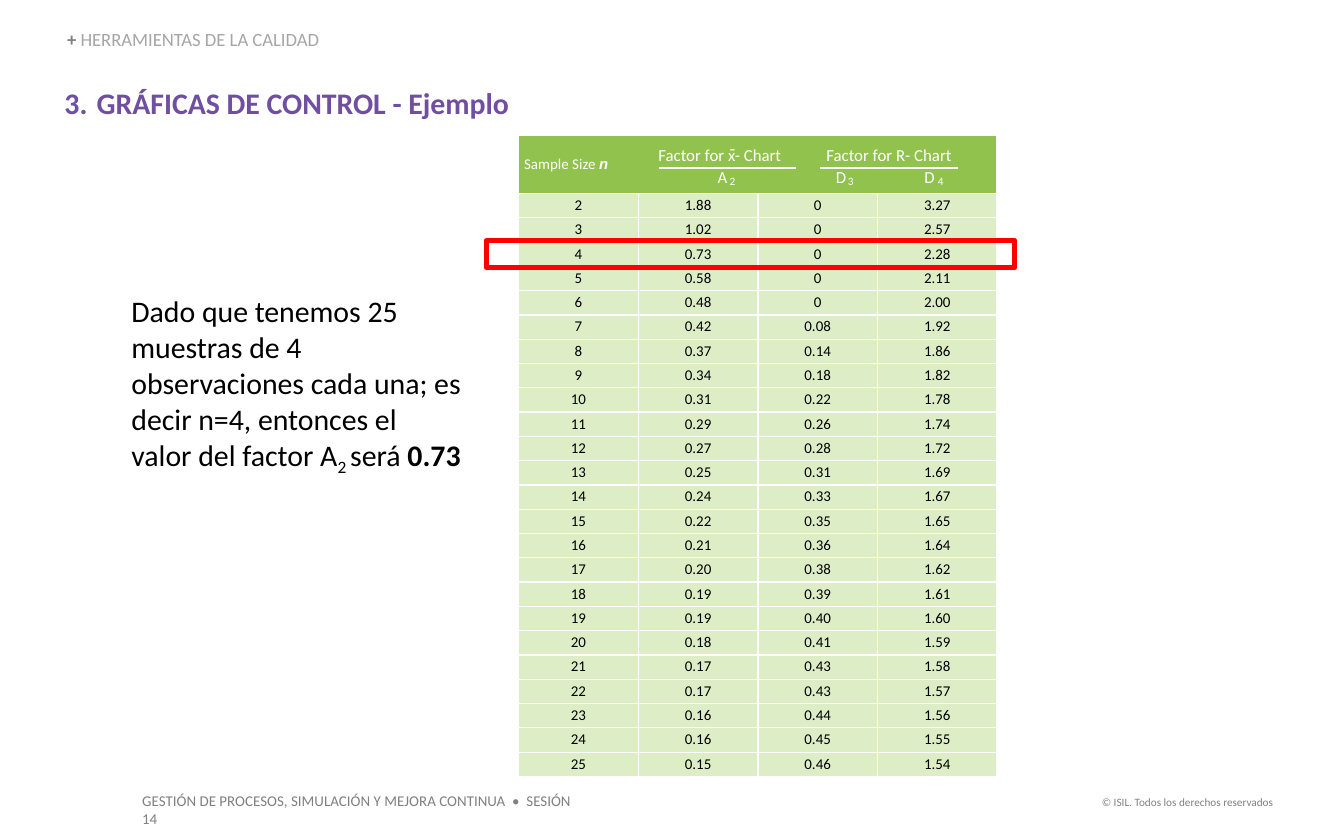
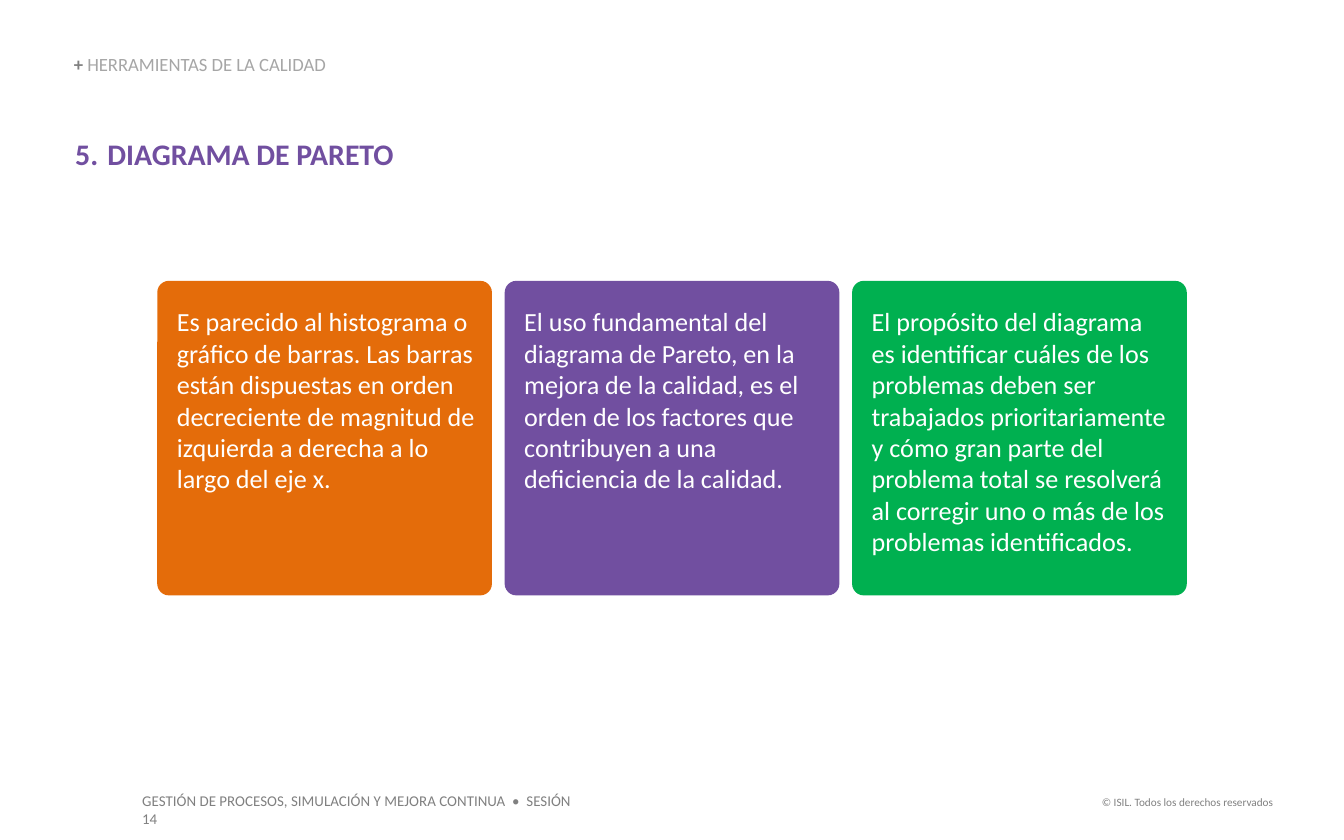
from lxml.etree import SubElement
from pptx import Presentation
from pptx.dml.color import RGBColor
from pptx.enum.shapes import MSO_CONNECTOR, MSO_SHAPE
from pptx.enum.text import MSO_ANCHOR, PP_ALIGN
from pptx.oxml.ns import qn
from pptx.util import Inches, Pt

WHITE = RGBColor(0xFF, 0xFF, 0xFF)
BLACK = RGBColor(0x00, 0x00, 0x00)
GRAY = RGBColor(0x80, 0x80, 0x80)
LIGHT_GRAY = RGBColor(0xA6, 0xA6, 0xA6)
PURPLE = RGBColor(0x71, 0x4F, 0xA0)
ORANGE = RGBColor(0xE4, 0x6C, 0x0A)
GREEN = RGBColor(0x00, 0xB0, 0x50)
HEADER_GREEN = RGBColor(0x92, 0xC2, 0x4E)
ROW_GREEN = RGBColor(0xDD, 0xEE, 0xC7)
RED = RGBColor(0xFF, 0x00, 0x00)

BODY_FONT = "Calibri"
SYMBOL_FONT = "Arial"
DEFAULT_INSETS = (0.1, 0.05, 0.1, 0.05)

SECTION = "HERRAMIENTAS DE LA CALIDAD"
COURSE = "GESTIÓN DE PROCESOS, SIMULACIÓN Y MEJORA CONTINUA  •  SESIÓN 14"
COPYRIGHT = "© ISIL. Todos los derechos reservados"

# Sample size n, A2, D3, D4
FACTORS = [
    ("2", "1.88", "0", "3.27"),
    ("3", "1.02", "0", "2.57"),
    ("4", "0.73", "0", "2.28"),
    ("5", "0.58", "0", "2.11"),
    ("6", "0.48", "0", "2.00"),
    ("7", "0.42", "0.08", "1.92"),
    ("8", "0.37", "0.14", "1.86"),
    ("9", "0.34", "0.18", "1.82"),
    ("10", "0.31", "0.22", "1.78"),
    ("11", "0.29", "0.26", "1.74"),
    ("12", "0.27", "0.28", "1.72"),
    ("13", "0.25", "0.31", "1.69"),
    ("14", "0.24", "0.33", "1.67"),
    ("15", "0.22", "0.35", "1.65"),
    ("16", "0.21", "0.36", "1.64"),
    ("17", "0.20", "0.38", "1.62"),
    ("18", "0.19", "0.39", "1.61"),
    ("19", "0.19", "0.40", "1.60"),
    ("20", "0.18", "0.41", "1.59"),
    ("21", "0.17", "0.43", "1.58"),
    ("22", "0.17", "0.43", "1.57"),
    ("23", "0.16", "0.44", "1.56"),
    ("24", "0.16", "0.45", "1.55"),
    ("25", "0.15", "0.46", "1.54"),
]
TABLE_BOX = (3.86, 1.01, 3.56, 4.77)
HEADER_HEIGHT = 0.43
CELL_INSETS = (0.04, 0.02, 0.04, 0.02)

# Text, size, left, top, width, height
HEADER_LABELS = [
    ("Factor for x- Chart", 9, 4.8, 1.03, 1.12, 0.25),
    ("Factor for R- Chart", 9, 6.05, 1.03, 1.29, 0.25),
    ("A", 9, 5.24, 1.19, 0.25, 0.25),
    ("D", 9, 6.12, 1.19, 0.25, 0.25),
    ("D", 9, 6.78, 1.19, 0.25, 0.25),
    ("4", 6, 6.88, 1.25, 0.25, 0.2),
    ("3", 6, 6.21, 1.25, 0.25, 0.2),
    ("2", 6, 5.33, 1.25, 0.25, 0.2),
    ("-", 10, 5.33, 0.97, 0.25, 0.27),
]
HEADER_RULES = [(4.9, 5.92), (6.1, 7.13)]
HEADER_RULE_TOP = 1.25
CHOSEN_ROW_BOX = (3.62, 1.79, 3.93, 0.2)

EXPLANATION = ("Dado que tenemos 25 muestras de 4 observaciones cada una; "
               "es decir n=4, entonces el valor del factor A")
SUBSCRIPT, VERB, RESULT = "2 ", "será ", "0.73"

PARETO_CARDS = [
    (ORANGE, "Es parecido al histograma o gráfico de barras. Las barras están "
             "dispuestas en orden decreciente de magnitud de izquierda a derecha "
             "a lo largo del eje x."),
    (PURPLE, "El uso fundamental del diagrama de Pareto, en la mejora de la "
             "calidad, es el orden de los factores que contribuyen a una "
             "deficiencia de la calidad."),
    (GREEN, "El propósito del diagrama es identificar cuáles de los problemas "
            "deben ser trabajados prioritariamente y cómo gran parte del problema "
            "total se resolverá al corregir uno o más de los problemas "
            "identificados."),
]
CARDS_LEFT, CARDS_RIGHT, CARDS_TOP = 1.17, 8.83, 2.09
CARD_WIDTH, CARD_HEIGHT = 2.49, 2.34


def inches(lengths):
    return [Inches(length) for length in lengths]


def add_run(paragraph, text, size, color, bold=False, italic=False, font=BODY_FONT):
    run = paragraph.add_run()
    run.text = text
    run.font.size = Pt(size)
    run.font.name = font
    run.font.bold = bold
    run.font.italic = italic
    run.font.color.rgb = color
    return run


def set_insets(holder, insets):
    """Set the margins of a text frame or a table cell."""
    (holder.margin_left, holder.margin_top,
     holder.margin_right, holder.margin_bottom) = inches(insets)


def add_paragraph_box(slide, box, insets=DEFAULT_INSETS, anchor=MSO_ANCHOR.TOP):
    """Add a wrapping text box and return its empty first paragraph."""
    frame = slide.shapes.add_textbox(*inches(box)).text_frame
    frame.word_wrap = True
    frame.vertical_anchor = anchor
    set_insets(frame, insets)
    return frame.paragraphs[0]


def number_paragraph(paragraph, start):
    properties = paragraph._p.get_or_add_pPr()
    properties.set("marL", str(Inches(0.24)))
    properties.set("indent", str(-Inches(0.24)))
    SubElement(properties, qn("a:buFont"), typeface="+mj-lt")
    SubElement(properties, qn("a:buAutoNum"), type="arabicPeriod", startAt=str(start))


def add_base_slide(deck, number, title, section_at, title_box):
    """Add a slide with its footers, section label and numbered title."""
    slide = deck.slides.add_slide(deck.slide_layouts[6])

    copyright_line = add_paragraph_box(slide, (8.07, 5.87, 1.5, 0.2))
    copyright_line.alignment = PP_ALIGN.RIGHT
    add_run(copyright_line, COPYRIGHT, 6, GRAY)
    add_run(add_paragraph_box(slide, (0.96, 5.84, 3.53, 0.24)), COURSE, 8, GRAY)

    section = add_paragraph_box(slide, (*section_at, 2.66, 0.15),
                                (0, 0, 0, 0), MSO_ANCHOR.BOTTOM)
    section.line_spacing = 0.9
    add_run(section, "+ ", 10, GRAY, bold=True)
    add_run(section, SECTION, 10, LIGHT_GRAY)

    heading = add_paragraph_box(slide, title_box, (0, 0, 0, 0.05))
    number_paragraph(heading, number)
    heading.space_after = Pt(6)
    add_run(heading, title, 16, PURPLE, bold=True)
    return slide


def style_cell(cell, color):
    set_insets(cell, CELL_INSETS)
    properties = cell._tc.get_or_add_tcPr()
    for side in ("a:lnL", "a:lnR", "a:lnT", "a:lnB"):
        border = SubElement(properties, qn(side), w=str(Pt(0.75)))
        SubElement(SubElement(border, qn("a:solidFill")), qn("a:srgbClr"), val=str(WHITE))
    cell.fill.solid()
    cell.fill.fore_color.rgb = color


def add_factor_table(slide):
    column_count = len(FACTORS[0])
    table = slide.shapes.add_table(len(FACTORS) + 1, column_count,
                                   *inches(TABLE_BOX)).table
    width, height = TABLE_BOX[2:]
    for column in table.columns:
        column.width = Inches(width / column_count)
    for row in table.rows:
        row.height = Inches((height - HEADER_HEIGHT) / len(FACTORS))
    table.rows[0].height = Inches(HEADER_HEIGHT)

    for column in range(column_count):
        style_cell(table.cell(0, column), HEADER_GREEN)
    header = table.cell(0, 0)
    header.merge(table.cell(0, column_count - 1))
    header.vertical_anchor = MSO_ANCHOR.MIDDLE
    caption = header.text_frame.paragraphs[0]
    add_run(caption, "Sample Size ", 8, WHITE)
    add_run(caption, "n", 8, WHITE, bold=True, italic=True, font=SYMBOL_FONT)

    for row, factors in enumerate(FACTORS, 1):
        for column, factor in enumerate(factors):
            cell = table.cell(row, column)
            style_cell(cell, ROW_GREEN)
            paragraph = cell.text_frame.paragraphs[0]
            paragraph.alignment = PP_ALIGN.CENTER
            add_run(paragraph, factor, 8, BLACK)


def add_header_rule(slide, left, right):
    rule = slide.shapes.add_connector(
        MSO_CONNECTOR.STRAIGHT,
        *inches((left, HEADER_RULE_TOP, right, HEADER_RULE_TOP)))
    rule.line.color.rgb = WHITE
    rule.line.width = Pt(0.75)
    SubElement(rule._element.spPr, qn("a:effectLst"))


def build_control_chart_slide(deck):
    slide = add_base_slide(deck, 3, "GRÁFICAS DE CONTROL - Ejemplo",
                           (0.5, 0.23), (0.48, 0.63, 8.84, 0.32))
    add_factor_table(slide)
    for label, size, *box in HEADER_LABELS:
        add_run(add_paragraph_box(slide, box), label, size, WHITE)
    for left, right in HEADER_RULES:
        add_header_rule(slide, left, right)

    chosen_row = slide.shapes.add_shape(MSO_SHAPE.RECTANGLE, *inches(CHOSEN_ROW_BOX))
    chosen_row.shadow.inherit = False
    chosen_row.fill.background()
    chosen_row.line.color.rgb = RED
    chosen_row.line.width = Pt(3)

    explanation = add_paragraph_box(slide, (0.88, 2.13, 2.66, 1.72))
    add_run(explanation, EXPLANATION, 16, BLACK)
    subscript = add_run(explanation, SUBSCRIPT, 16, BLACK)
    subscript._r.get_or_add_rPr().set("baseline", "-25000")
    add_run(explanation, VERB, 16, BLACK)
    add_run(explanation, RESULT, 16, BLACK, bold=True)


def build_pareto_slide(deck):
    slide = add_base_slide(deck, 5, "DIAGRAMA DE PARETO",
                           (0.55, 0.41), (0.56, 1.01, 8.56, 0.32))
    step = (CARDS_RIGHT - CARDS_LEFT - CARD_WIDTH) / (len(PARETO_CARDS) - 1)
    for index, (color, statement) in enumerate(PARETO_CARDS):
        box = (CARDS_LEFT + index * step, CARDS_TOP, CARD_WIDTH, CARD_HEIGHT)
        card = slide.shapes.add_shape(MSO_SHAPE.ROUNDED_RECTANGLE, *inches(box))
        card.adjustments[0] = 0.037
        card.shadow.inherit = False
        card.fill.solid()
        card.fill.fore_color.rgb = color
        card.line.fill.background()
        frame = card.text_frame
        frame.word_wrap = True
        frame.vertical_anchor = MSO_ANCHOR.TOP
        set_insets(frame, (0.12, 0.16, 0.1, 0.05))
        paragraph = frame.paragraphs[0]
        paragraph.alignment = PP_ALIGN.LEFT
        add_run(paragraph, statement, 14, WHITE)


def main():
    deck = Presentation()
    deck.slide_width, deck.slide_height = Inches(10), Inches(6.25)
    build_control_chart_slide(deck)
    build_pareto_slide(deck)
    deck.save("out.pptx")


if __name__ == "__main__":
    main()
